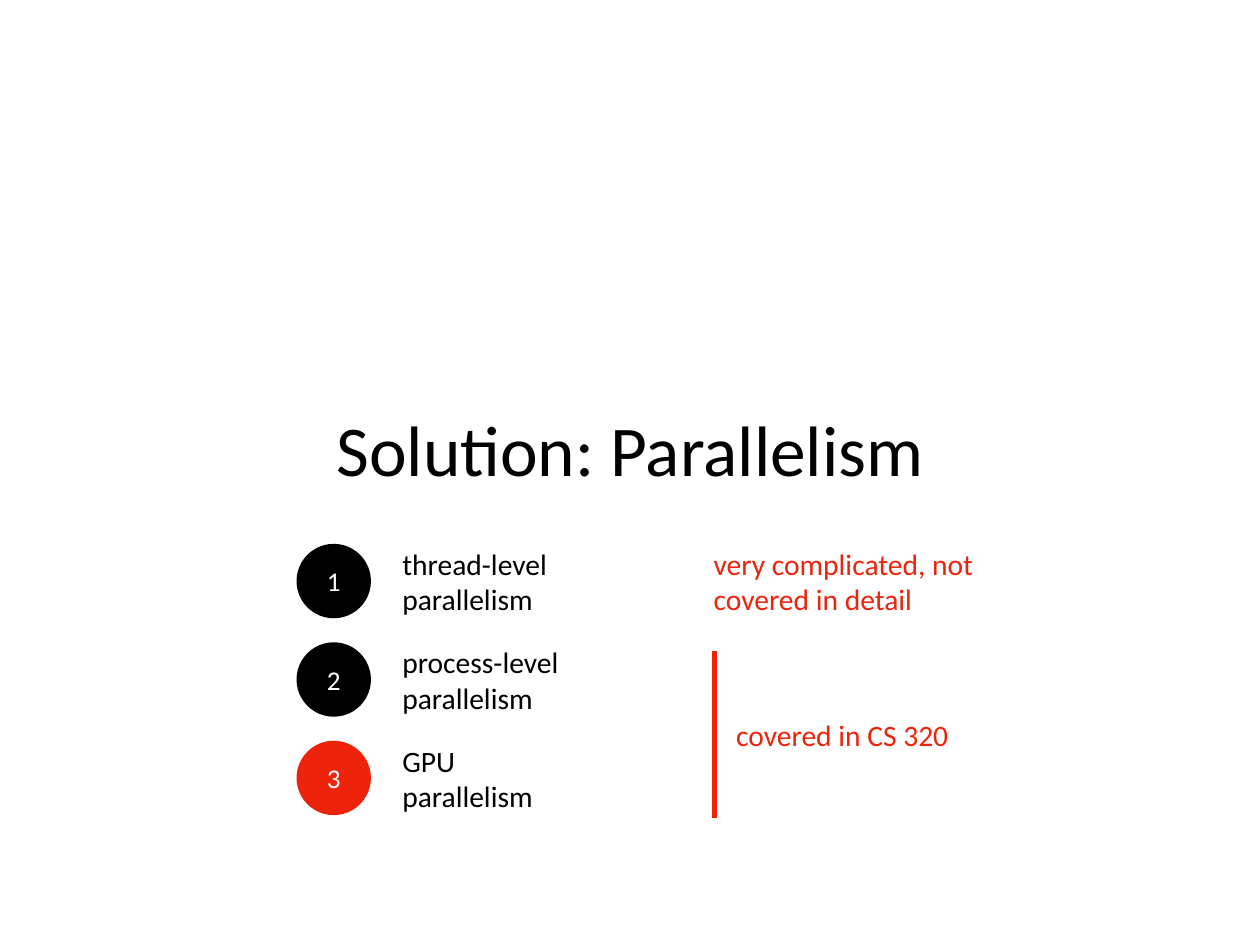
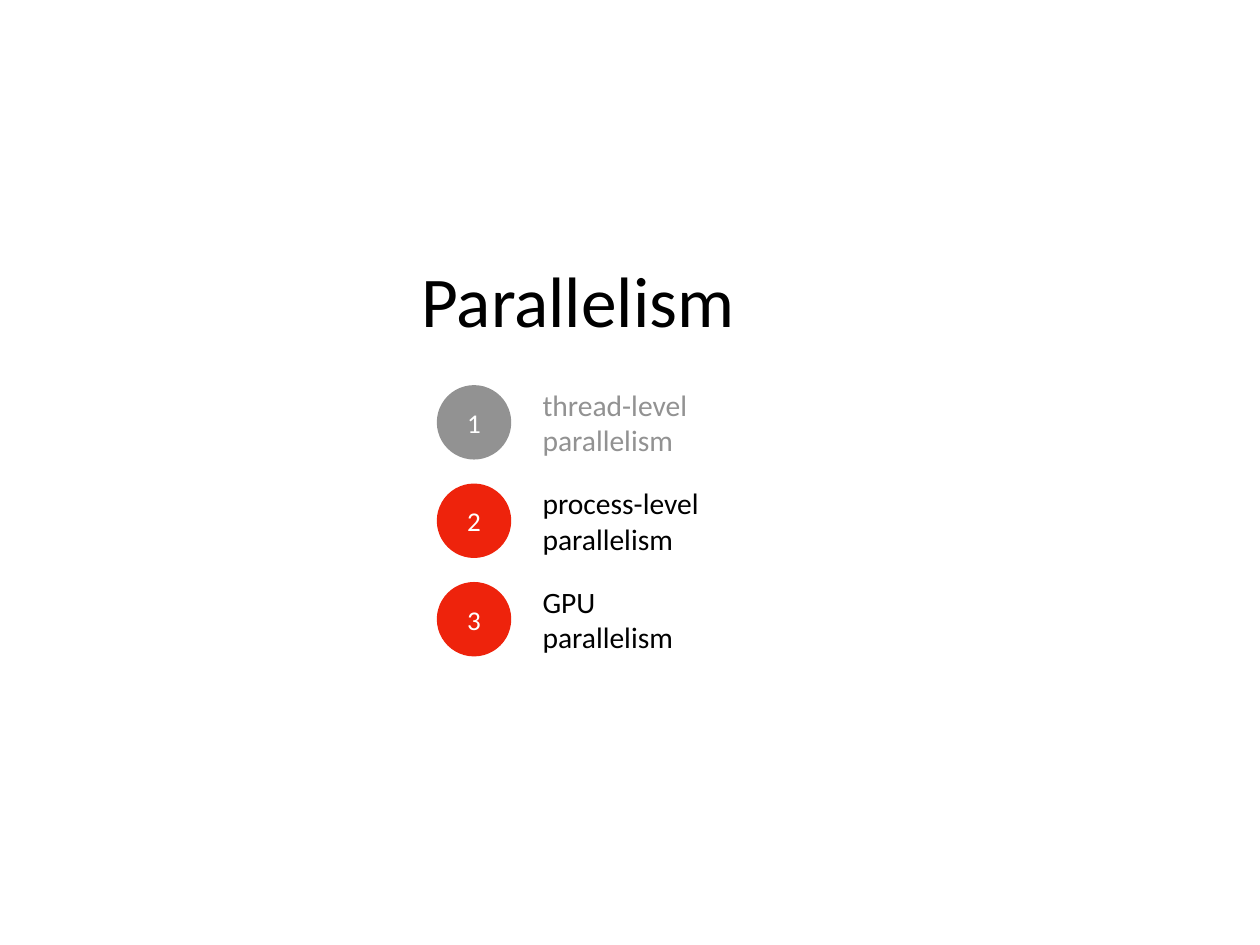
"""Two slides on kinds of parallelism: an overview, then the ones covered."""
from lxml.etree import SubElement
from pptx import Presentation
from pptx.dml.color import RGBColor
from pptx.enum.shapes import MSO_CONNECTOR, MSO_SHAPE
from pptx.enum.text import MSO_ANCHOR as ANCHOR, MSO_AUTO_SIZE as AUTO, PP_ALIGN as ALIGN
from pptx.oxml.ns import qn
from pptx.util import Pt

COLORS = {"black": "000000", "white": "FFFFFF", "red": "EE230C", "gray": "929292"}
FONT = "Calibri"
INSET = 4
DOT, PITCH = 60.5, 80
LABEL_DX, LABEL_W, LABEL_H = 82, 144, 64
LEVELS = ["thread-level parallelism", "process-level parallelism", "GPU parallelism"]


def rgb(name):
    return RGBColor.from_string(COLORS[name])


def write(sp, text, size, color, align=ALIGN.LEFT, anchor=ANCHOR.MIDDLE):
    tf = sp.text_frame
    tf.word_wrap = True
    tf.auto_size = AUTO.NONE
    tf.vertical_anchor = anchor
    tf.margin_left = tf.margin_right = tf.margin_top = tf.margin_bottom = Pt(INSET)
    p = tf.paragraphs[0]
    p.alignment = align
    r = p.add_run()
    r.text = text
    r.font.name = FONT
    r.font.size = Pt(size)
    r.font.color.rgb = rgb(color)
    return p


prs = Presentation()
prs.slide_width, prs.slide_height = Pt(1024), Pt(768)

slides = [
    ("Solution: Parallelism", (16.5, 245.5, 991, 157), (241, 442),
     [("black", "black"), ("black", "black"), ("red", "black")]),
    ("Parallelism", (191.5, 124.5, 556.5, 157), (355, 313),
     [("gray", "gray"), ("red", "black"), ("red", "black")]),
]

for heading, box, (left, top), styles in slides:
    s = prs.slides.add_slide(prs.slide_layouts[5])
    title = s.shapes.title
    title.left, title.top, title.width, title.height = map(Pt, box)
    title.fill.solid()
    title.fill.fore_color.rgb = rgb("white")
    p = write(title, heading, 58, "black", ALIGN.CENTER, ANCHOR.BOTTOM)
    p.space_before = Pt(13)

    for i, (level, (dot_color, text_color)) in enumerate(zip(LEVELS, styles)):
        y = top + i * PITCH
        dot = s.shapes.add_shape(MSO_SHAPE.OVAL, Pt(left), Pt(y), Pt(DOT), Pt(DOT))
        dot.shadow.inherit = False
        dot.fill.solid()
        dot.fill.fore_color.rgb = rgb(dot_color)
        dot.line.fill.background()
        write(dot, str(i + 1), 22, "white", ALIGN.CENTER)
        label = s.shapes.add_textbox(Pt(left + LABEL_DX), Pt(y + (DOT - LABEL_H) / 2),
                                     Pt(LABEL_W), Pt(LABEL_H))
        write(label, level, 24, text_color)

s = prs.slides[0]
bar = s.shapes.add_connector(MSO_CONNECTOR.STRAIGHT, Pt(580.5), Pt(665), Pt(580.5), Pt(529))
bar.line.color.rgb = rgb("red")
bar.line.width = Pt(4)
SubElement(bar.element.spPr, qn("a:effectLst"))

covered = s.shapes.add_textbox(Pt(592.5), Pt(579.5), Pt(184), Pt(36))
write(covered, "covered in CS 320", 24, "red", ALIGN.CENTER)
skipped = s.shapes.add_textbox(Pt(576), Pt(440.5), Pt(224), Pt(LABEL_H))
write(skipped, "very complicated, not covered in detail", 24, "red")

prs.save("out.pptx")
